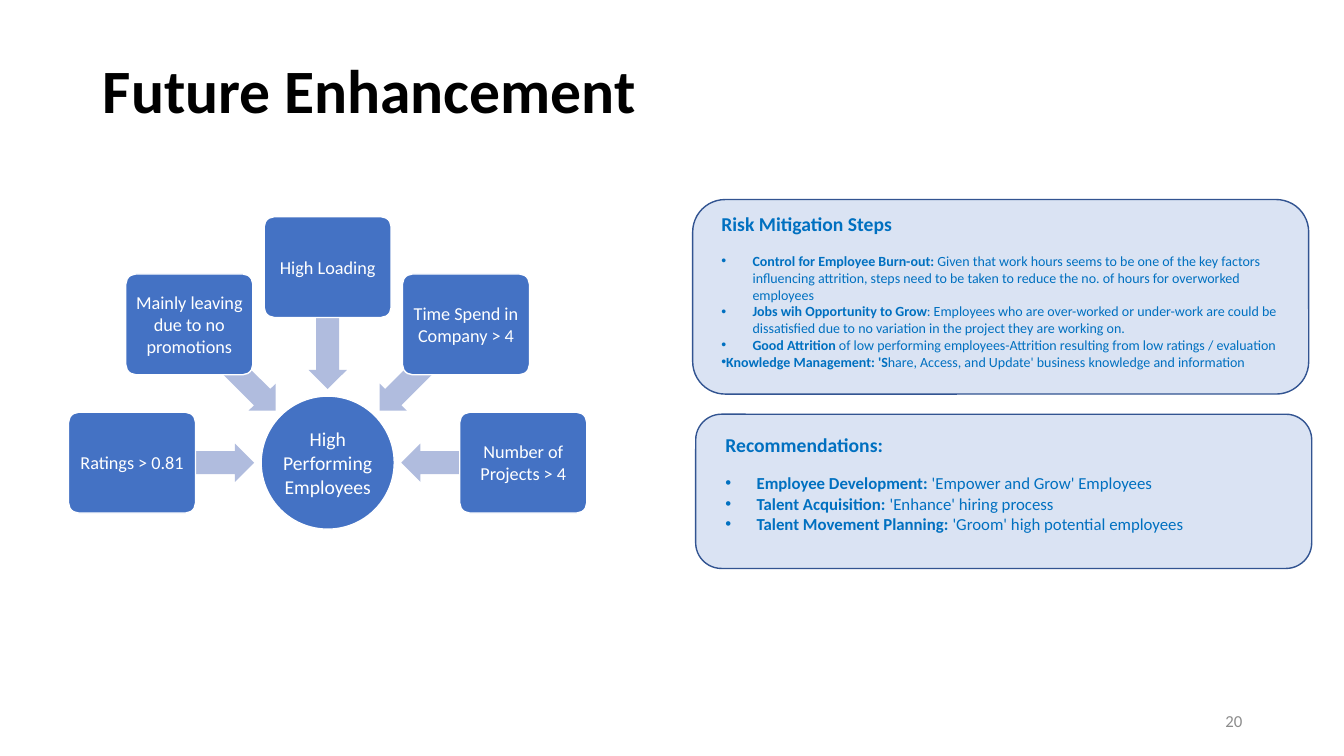
from math import cos, radians, sin

from lxml import etree
from pptx import Presentation
from pptx.dml.color import RGBColor
from pptx.enum import shapes, text
from pptx.oxml import ns
from pptx.util import Inches, Pt

SHAPE = shapes.MSO_SHAPE
ALIGN = text.PP_ALIGN
ANCHOR = text.MSO_ANCHOR


class Theme:
    font = "Calibri"
    black, white, gray = "000000", "FFFFFF", "8C8C8C"
    node, arrow = "4472C4", "B0BCDE"
    panel, edge, ink = "DAE3F3", "325491", "0070C0"
    title, head, label, item, small, page = 44, 14, 13, 12, 10, 12


FACTORS = [
    "Ratings > 0.81",
    "Mainly leaving due to no promotions",
    "High Loading",
    "Time Spend in Company > 4",
    "Number of Projects > 4",
]
# Each item: bold lead, plain rest, left margin in inches
RISKS = [
    ("Control for Employee Burn-out: ",
     "Given that work hours seems to be one of the key factors influencing "
     "attrition, steps need to be taken to reduce the no. of hours for "
     "overworked employees", 0.31),
    ("Jobs wih Opportunity to Grow",
     ": Employees who are over-worked or under-work are could be dissatisfied "
     "due to no variation in the project they are working on.", 0.31),
    ("Good Attrition ",
     "of low performing employees-Attrition resulting from low ratings / "
     "evaluation", 0.31),
    ("Knowledge Management: 'S",
     "hare, Access, and Update' business knowledge and information", 0),
]
ADVICE = [
    ("Employee Development:", " 'Empower and Grow' Employees", 0.31),
    ("Talent Acquisition:", " 'Enhance' hiring process", 0.31),
    ("Talent Movement Planning:", " 'Groom' high potential employees", 0.31),
]


def assign(obj, **values):
    for name, value in values.items():
        setattr(obj, name, value)


def write(par, words, size, color, bold=False):
    run = par.add_run()
    run.text = words
    assign(run.font, name=Theme.font, size=Pt(size), bold=bold)
    run.font.color.rgb = RGBColor.from_string(color)


def frame(shape, anchor, left=0, top=0, right=0, bottom=0):
    """Set wrapping, anchor and margins (inches); return the text frame."""
    body = shape.text_frame
    assign(body, word_wrap=True, vertical_anchor=anchor,
           margin_left=Inches(left), margin_top=Inches(top),
           margin_right=Inches(right), margin_bottom=Inches(bottom))
    return body


def draw(slide, kind, box, fill, line=None, adj=None):
    shape = slide.shapes.add_shape(kind, *map(Inches, box))
    shape.shadow.inherit = False
    shape.fill.solid()
    shape.fill.fore_color.rgb = RGBColor.from_string(fill)
    if line:
        shape.line.color.rgb = RGBColor.from_string(line)
        shape.line.width = Pt(1)
    else:
        shape.line.fill.background()
    for i, value in enumerate(adj or []):
        shape.adjustments[i] = value
    return shape


def center(x, y, width, height):
    return x - width / 2, y - height / 2, width, height


def node(slide, kind, box, words, size, pad=0, adj=None):
    shape = draw(slide, kind, box, Theme.node, Theme.white, adj)
    par = frame(shape, ANCHOR.MIDDLE, pad, pad, pad, pad).paragraphs[0]
    par.alignment = ALIGN.CENTER
    write(par, words, size, Theme.white)


def radial(slide, box):
    """Hub at the bottom centre of the box, factors on a half circle."""
    left, top, width, height = box
    hub = 1.32
    x, y = left + width / 2, top + height - hub / 2
    node(slide, SHAPE.OVAL, center(x, y, hub, hub),
         "High Performing Employees", Theme.head)
    for i, words in enumerate(FACTORS):
        turn = 180 + i * 180 / (len(FACTORS) - 1)
        dx, dy = cos(radians(turn)), sin(radians(turn))
        arrow = draw(slide, SHAPE.LEFT_ARROW,
                     center(x + 1.335 * dx, y + 1.335 * dy, 1.21, 0.38),
                     Theme.arrow, adj=[0.6, 0.5])
        arrow.rotation = turn % 360
        node(slide, SHAPE.ROUNDED_RECTANGLE,
             center(x + 1.94 * dx, y + 1.94 * dy, 1.26, 1),
             words, Theme.label, 0.03, [0.1])


def bullet(par, margin):
    props = par._p.get_or_add_pPr()
    props.set("marL", str(Inches(margin)))
    props.set("indent", str(-Inches(0.31)))
    etree.SubElement(props, ns.qn("a:buFont")).set("typeface", "Arial")
    etree.SubElement(props, ns.qn("a:buChar")).set("char", "•")


def panel(slide, box, left, top, head, items, size):
    shape = draw(slide, SHAPE.ROUNDED_RECTANGLE, box, Theme.panel, Theme.edge)
    body = frame(shape, ANCHOR.TOP, left, top, 0.15)
    par = body.paragraphs[0]
    assign(par, alignment=ALIGN.LEFT, space_after=Pt(12))
    write(par, head, Theme.head, Theme.ink, True)
    for lead, rest, margin in items:
        par = body.add_paragraph()
        par.alignment = ALIGN.LEFT
        bullet(par, margin)
        write(par, lead, size, Theme.ink, True)
        write(par, rest, size, Theme.ink)


def heading(slide, box, words):
    title = slide.shapes.title
    left, top, width, height = map(Inches, box)
    assign(title, left=left, top=top, width=width, height=height)
    par = frame(title, ANCHOR.MIDDLE, 0.1, 0.05, 0.1, 0.05).paragraphs[0]
    assign(par, alignment=ALIGN.LEFT, line_spacing=0.9)
    write(par, words, Theme.title, Theme.black, True)


def number(slide, box, words):
    shape = slide.shapes.add_textbox(*map(Inches, box))
    par = frame(shape, ANCHOR.MIDDLE, 0.1, 0.05, 0.1, 0.05).paragraphs[0]
    par.alignment = ALIGN.RIGHT
    write(par, words, Theme.page, Theme.gray)


def main():
    deck = Presentation()
    assign(deck, slide_width=Inches(13.33), slide_height=Inches(7.5))
    slide = deck.slides.add_slide(deck.slide_layouts.get_by_name("Title Only"))
    heading(slide, (0.92, 0.4, 11.5, 1.05), "Future Enhancement")
    radial(slide, (0.68, 2.15, 5.14, 3.1))
    number(slide, (9.42, 6.95, 3, 0.4), "20")
    panel(slide, (6.87, 1.98, 6.11, 1.93), 0.19, 0.03,
          "Risk Mitigation Steps", RISKS, Theme.small)
    panel(slide, (6.9, 4.11, 6.11, 1.53), 0.22, 0.11,
          "Recommendations:", ADVICE, Theme.item)
    deck.save("out.pptx")


if __name__ == "__main__":
    main()
